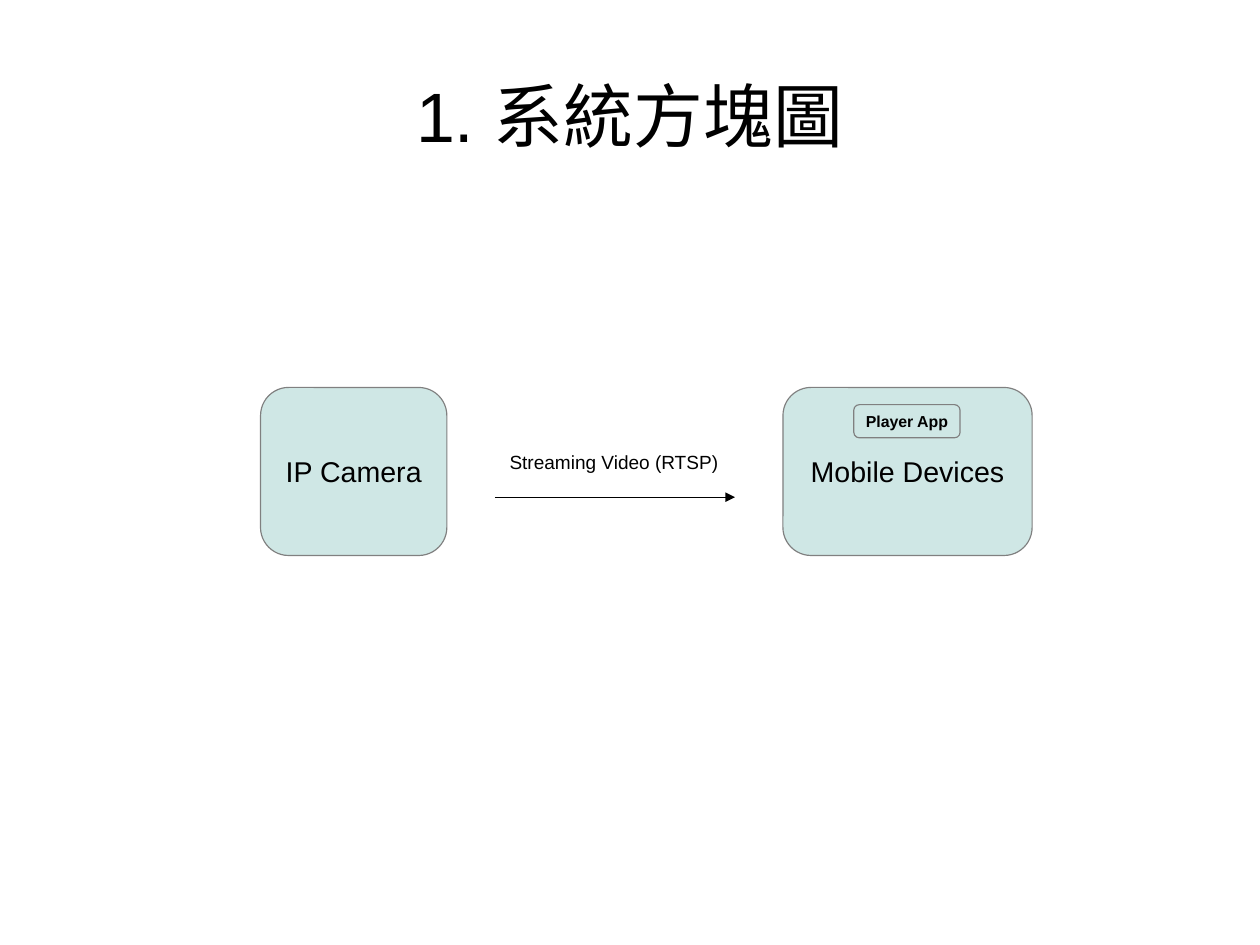
from lxml import etree
from pptx import Presentation
from pptx.dml.color import RGBColor
from pptx.enum.shapes import MSO_CONNECTOR, MSO_SHAPE
from pptx.enum.text import MSO_ANCHOR, PP_ALIGN
from pptx.oxml.ns import qn
from pptx.util import Inches, Pt

ROUND = MSO_SHAPE.ROUNDED_RECTANGLE
STRAIGHT = MSO_CONNECTOR.STRAIGHT
TOP, MIDDLE = MSO_ANCHOR.TOP, MSO_ANCHOR.MIDDLE
LEFT, CENTER = PP_ALIGN.LEFT, PP_ALIGN.CENTER
BLACK = RGBColor(0x00, 0x00, 0x00)
GRAY = RGBColor(0x80, 0x80, 0x80)
MINT = RGBColor(0xCF, 0xE7, 0xE5)


def write(shape, text, size, align, anchor, insets, wrap=False, bold=False):
    frame = shape.text_frame
    frame.word_wrap = wrap
    frame.vertical_anchor = anchor
    left, top, right, bottom = [Inches(n) for n in insets]
    frame.margin_left, frame.margin_top = left, top
    frame.margin_right, frame.margin_bottom = right, bottom
    para = frame.paragraphs[0]
    para.text = text
    para.alignment = align
    para.line_spacing = 0.93
    para.font.name = "Arial"
    para.font.size = Pt(size)
    para.font.bold = bold
    para.font.color.rgb = BLACK


deck = Presentation()
deck.slide_width = Inches(28 / 2.54)
deck.slide_height = Inches(21 / 2.54)
slide = deck.slides.add_slide(deck.slide_layouts[6])
shapes = slide.shapes

title = shapes.add_textbox(Inches(0.55), Inches(0.33), Inches(9.92), Inches(1.38))
write(title, "1. 系統方塊圖", 44, CENTER, MIDDLE, (0, 0.04, 0, 0), wrap=True)

nodes = [
    ("IP Camera", 2.28, 3.39, 1.63, 1.47, 18, 0.07, False),
    ("Mobile Devices", 6.85, 3.39, 2.18, 1.47, 18, 0.07, False),
    ("Player App", 7.47, 3.54, 0.93, 0.29, 10, 0.06, True),
]
for text, x, y, width, height, size, inset, bold in nodes:
    node = shapes.add_shape(ROUND, Inches(x), Inches(y), Inches(width), Inches(height))
    node.adjustments[0] = 0.167
    node.shadow.inherit = False
    node.fill.solid()
    node.fill.fore_color.rgb = MINT
    node.line.color.rgb = GRAY
    node.line.width = Pt(0.75)
    write(node, text, size, CENTER, MIDDLE, (0.1, inset, 0.1, 0.05), bold=bold)

stream = shapes.add_connector(STRAIGHT, Inches(4.33), Inches(4.35), Inches(6.43), Inches(4.35))
stream.line.color.rgb = BLACK
stream.line.width = Pt(0.75)
etree.SubElement(stream.line._get_or_add_ln(), qn("a:tailEnd"), type="triangle")
etree.SubElement(stream._element.spPr, qn("a:effectLst"))

label = shapes.add_textbox(Inches(4.36), Inches(3.9), Inches(2.06), Inches(0.24))
write(label, "Streaming Video (RTSP)", 12, LEFT, TOP, (0.1, 0.06, 0.1, 0.05))

deck.save("out.pptx")
